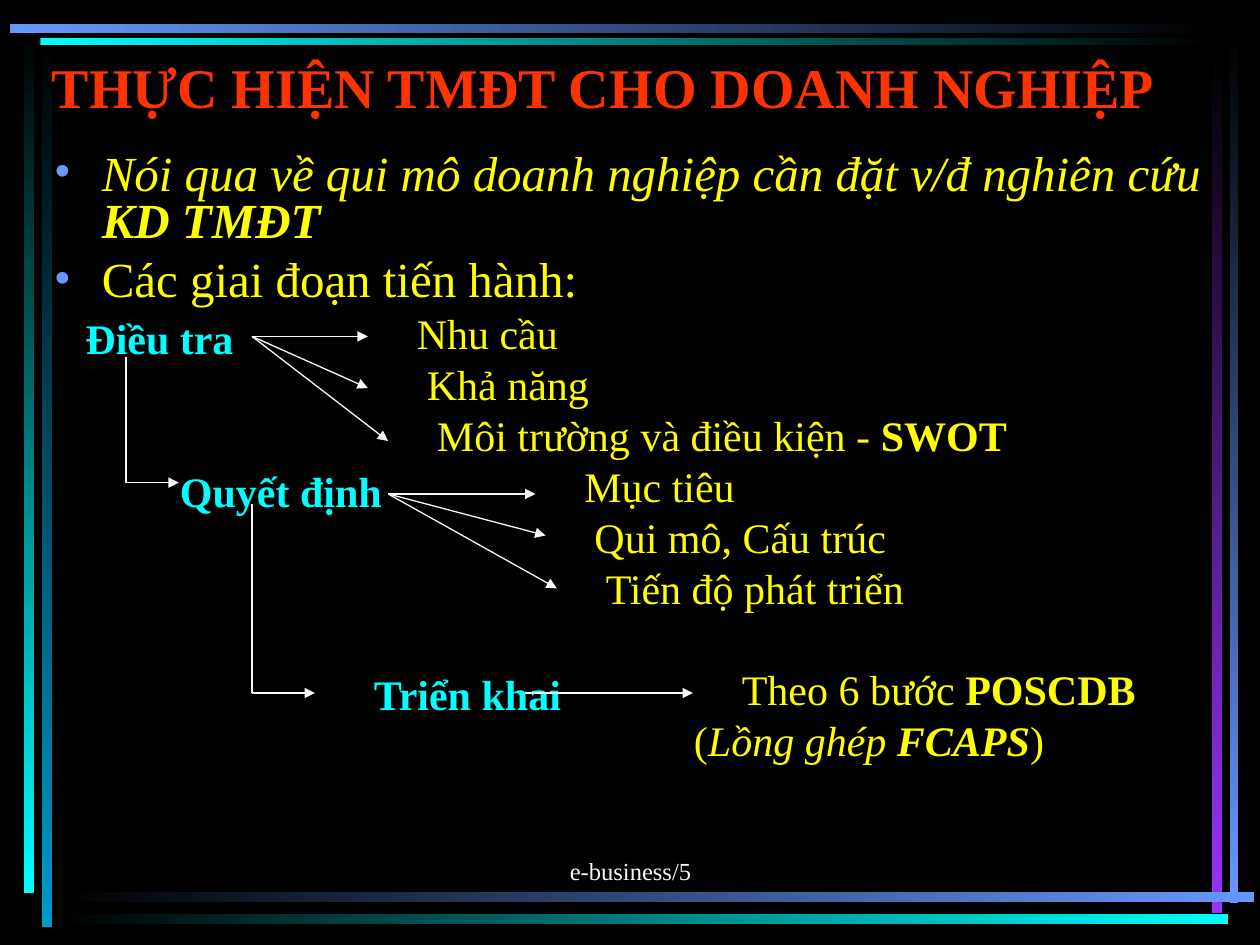
from dataclasses import dataclass

from lxml import etree
from pptx import Presentation
from pptx.dml.color import RGBColor
from pptx.enum.shapes import MSO_CONNECTOR, MSO_SHAPE
from pptx.enum.text import MSO_ANCHOR, PP_ALIGN
from pptx.oxml.ns import qn
from pptx.util import Inches, Pt

STRAIGHT = MSO_CONNECTOR.STRAIGHT
RECTANGLE = MSO_SHAPE.RECTANGLE
TOP, BOTTOM = MSO_ANCHOR.TOP, MSO_ANCHOR.BOTTOM
LEFT, CENTER = PP_ALIGN.LEFT, PP_ALIGN.CENTER


@dataclass(frozen=True)
class Theme:
    font: str = "Times New Roman"
    black: str = "000000"
    white: str = "F8F8F8"
    red: str = "FF3300"
    yellow: str = "FFFF00"
    cyan: str = "00FFFF"
    blue: str = "6699FF"
    teal: str = "0099CC"
    purple: str = "9933FF"
    title_size: int = 32
    point_size: int = 28
    stage_size: int = 24
    footer_size: int = 14
    line_spacing: float = 0.8
    arrow_width: float = 0.75


@dataclass
class Painter:
    slide: object
    theme: Theme

    def bar(self, left, top, width, height, start, end):
        """Frame bar fading from start to end along its longer side."""
        bar = self.slide.shapes.add_shape(
            RECTANGLE, Inches(left), Inches(top), Inches(width), Inches(height))
        bar.shadow.inherit = False
        bar.line.fill.background()
        bar.fill.gradient()
        bar.fill.gradient_angle = 0 if width > height else 270
        for stop, color in zip(bar.fill.gradient_stops, (start, end)):
            stop.color.rgb = RGBColor.from_string(color)

    def text_box(self, left, top, width, height, anchor):
        box = self.slide.shapes.add_textbox(
            Inches(left), Inches(top), Inches(width), Inches(height))
        frame = box.text_frame
        frame.word_wrap = True
        frame.vertical_anchor = anchor
        return frame

    def style(self, paragraph, size, color, bold=None, italic=None, align=LEFT):
        paragraph.alignment = align
        font = paragraph.font
        font.name, font.size = self.theme.font, Pt(size)
        font.bold, font.italic = bold, italic
        font.color.rgb = RGBColor.from_string(color)

    def label(self, text, place, size, color, bold=None):
        paragraph = self.text_box(*place, BOTTOM).paragraphs[0]
        paragraph.add_run().text = text
        self.style(paragraph, size, color, bold, align=CENTER)

    def stage(self, text, left, top):
        paragraph = self.text_box(left, top, 2, 0.45, TOP).paragraphs[0]
        paragraph.add_run().text = text
        paragraph.line_spacing = self.theme.line_spacing
        self.style(paragraph, self.theme.stage_size, self.theme.cyan, bold=True)

    def runs(self, paragraph, parts):
        """Each part is (text, font settings that differ from the paragraph)."""
        for text, changes in parts:
            run = paragraph.add_run()
            run.text = text
            for name, value in changes.items():
                setattr(run.font, name, value)

    def bullet(self, paragraph, parts, space, italic=None):
        props = paragraph._p.get_or_add_pPr()
        props.set("marL", str(Inches(0.38)))
        props.set("indent", str(-Inches(0.38)))
        color = etree.SubElement(props, qn("a:buClr"))
        etree.SubElement(color, qn("a:srgbClr"), val=self.theme.blue)
        etree.SubElement(props, qn("a:buFont"), typeface=self.theme.font)
        etree.SubElement(props, qn("a:buChar"), char="•")
        paragraph.line_spacing = self.theme.line_spacing
        paragraph.space_before = Pt(space)
        self.style(paragraph, self.theme.point_size, self.theme.yellow, italic=italic)
        self.runs(paragraph, parts)

    def item(self, paragraph, indent, parts, space=6):
        props = paragraph._p.get_or_add_pPr()
        props.set("marL", str(Inches(indent)))
        props.set("indent", "0")
        etree.SubElement(props, qn("a:buNone"))
        paragraph.line_spacing = self.theme.line_spacing
        paragraph.space_before = Pt(space)
        self.style(paragraph, self.theme.stage_size, self.theme.yellow)
        self.runs(paragraph, parts)

    def line(self, start, end, arrow=True):
        line = self.slide.shapes.add_connector(
            STRAIGHT, *(Inches(value) for value in (*start, *end)))
        line.line.color.rgb = RGBColor.from_string(self.theme.white)
        line.line.width = Pt(self.theme.arrow_width)
        if arrow:
            etree.SubElement(line.line._get_or_add_ln(), qn("a:tailEnd"), type="triangle")
        etree.SubElement(line._element.spPr, qn("a:effectLst"))

    def fan(self, start, ends):
        for end in ends:
            self.line(start, end)

    def elbow(self, start, end):
        corner = (start[0], end[1])
        self.line(start, corner, arrow=False)
        self.line(corner, end)


def main():
    theme = Theme()
    deck = Presentation()
    deck.slide_width, deck.slide_height = Inches(10), Inches(7.5)
    slide = deck.slides.add_slide(deck.slide_layouts[6])
    slide.background.fill.solid()
    slide.background.fill.fore_color.rgb = RGBColor.from_string(theme.black)
    painter = Painter(slide, theme)

    # Frame: left, right, bottom and top pairs of bars
    for bar in (
        (0.33, 0.28, 0.08, 7.08, theme.black, theme.teal),
        (0.19, 0.25, 0.08, 6.84, theme.black, theme.cyan),
        (9.76, 0.24, 0.07, 6.93, theme.black, theme.blue),
        (9.62, 0.42, 0.08, 6.83, theme.black, theme.purple),
        (0.45, 7.08, 9.5, 0.08, theme.black, theme.blue),
        (0.45, 7.25, 9.3, 0.08, theme.black, theme.cyan),
        (0.32, 0.3, 9.32, 0.06, theme.cyan, theme.black),
        (0.08, 0.19, 9.56, 0.07, theme.blue, theme.black),
    ):
        painter.bar(*bar)

    # Footer and title
    painter.label("e-business/5", (3.42, 6.58, 3.17, 0.5), theme.footer_size, theme.white)
    painter.label("THỰC HIỆN TMĐT CHO DOANH NGHIỆP", (0, 0.17, 9.58, 0.83),
                  theme.title_size, theme.red, bold=True)

    # Main points
    body = painter.text_box(0.33, 1.17, 9.33, 5.83, TOP)
    bold = {"bold": True}
    painter.bullet(body.paragraphs[0], [
        ("Nói qua về qui mô doanh nghiệp cần đặt v/đ nghiên cứu ", {}),
        ("KD TMĐT", bold)], space=0, italic=True)
    painter.bullet(body.add_paragraph(), [("Các giai đoạn tiến hành:", {})], space=7)

    # Contents of the stages: indent, parts, space before
    for item in (
        (2.88, [("Nhu cầu", {})]),
        (2.96, [("Khả năng", {})]),
        (3.04, [("Môi trường và điều kiện - ", {}), ("SWOT", bold)]),
        (4.21, [("Mục tiêu", {})]),
        (4.29, [("Qui mô, Cấu trúc", {})]),
        (4.38, [("Tiến độ phát triển", {})]),
        (5.46, [("Theo 6 bước ", {}), ("POSCDB", bold)], 35),
        (5.08, [("(", {}), ("Lồng ghép ", {"italic": True}),
                ("FCAPS", {"bold": True, "italic": True}), (")", {})]),
    ):
        painter.item(body.add_paragraph(), *item)

    # Stage names, each level with its first item
    painter.stage("Điều tra", 0.58, 2.51)
    painter.stage("Quyết định", 1.33, 3.72)
    painter.stage("Triển khai", 2.87, 5.33)

    # Arrows from each stage to its contents
    painter.fan((2, 2.67), [(2.92, 2.67), (2.92, 3.08), (3.08, 3.5)])
    painter.fan((3.08, 3.92), [(4.25, 3.92), (4.33, 4.25), (4.42, 4.67)])
    painter.fan((4.17, 5.5), [(5.5, 5.5)])

    # Arrows from stage to stage
    painter.elbow((1, 2.83), (1.42, 3.83))
    painter.elbow((2, 4), (2.5, 5.5))

    deck.save("out.pptx")


if __name__ == "__main__":
    main()
